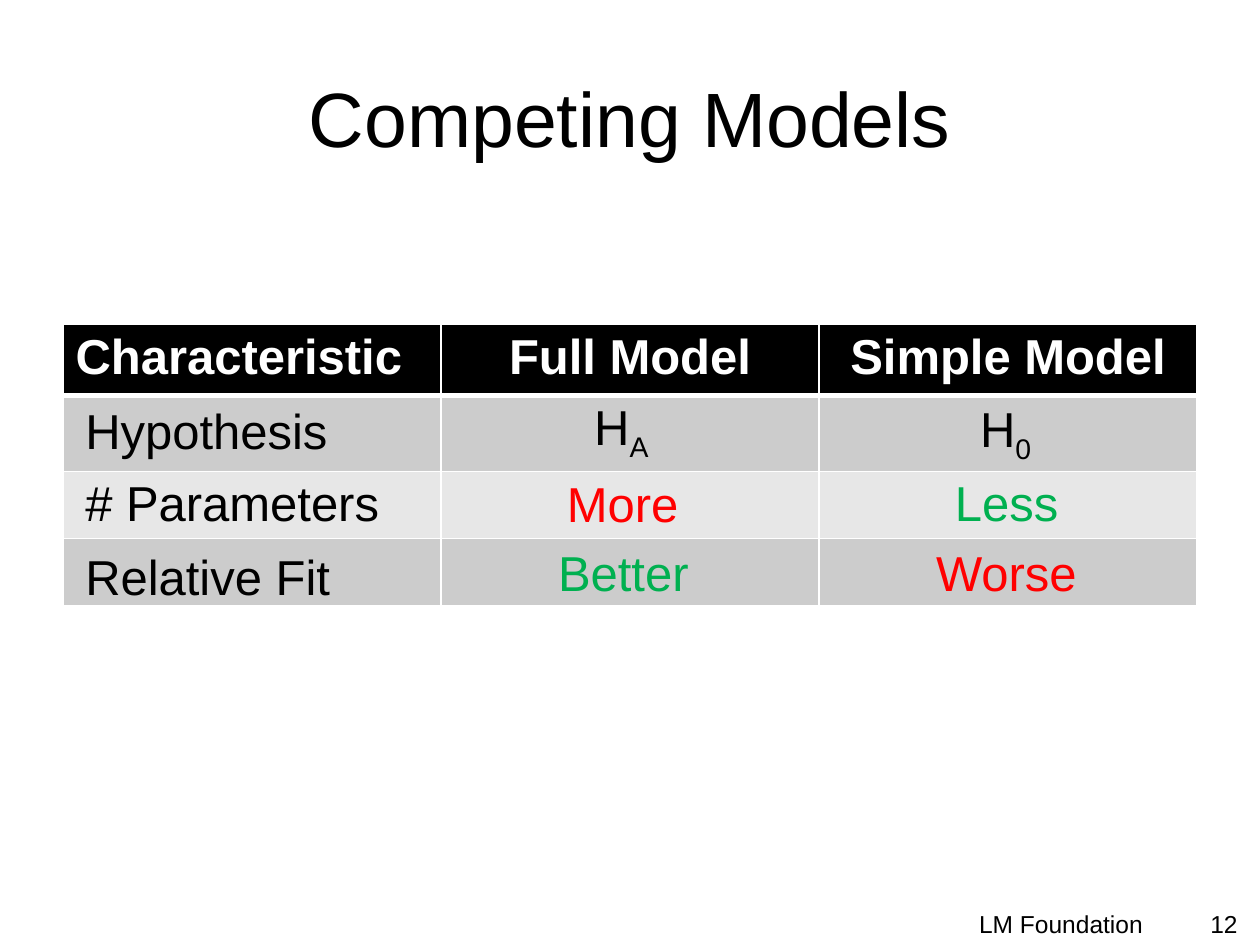
from lxml import etree
from pptx import Presentation
from pptx.dml.color import RGBColor
from pptx.enum.text import MSO_ANCHOR, MSO_AUTO_SIZE, PP_ALIGN
from pptx.oxml.ns import qn
from pptx.util import Cm, Pt

LEFT, CENTER, RIGHT = PP_ALIGN.LEFT, PP_ALIGN.CENTER, PP_ALIGN.RIGHT
TOP, MIDDLE = MSO_ANCHOR.TOP, MSO_ANCHOR.MIDDLE
FIT_SHAPE = MSO_AUTO_SIZE.SHAPE_TO_FIT_TEXT

BLACK = RGBColor(0x00, 0x00, 0x00)
WHITE = RGBColor(0xFF, 0xFF, 0xFF)
RED = RGBColor(0xFF, 0x00, 0x00)
GREEN = RGBColor(0x00, 0xB0, 0x50)
DARK_BAND = RGBColor(0xCC, 0xCC, 0xCC)
LIGHT_BAND = RGBColor(0xE7, 0xE7, 0xE7)

FONT = "Arial"
HEADERS = ["Characteristic", "Full Model", "Simple Model"]
ROW_FILLS = [BLACK, DARK_BAND, LIGHT_BAND, DARK_BAND]
ROW_HEIGHTS = [1.33, 1.53, 1.35, 1.35]
COLUMN_WIDTH = 7.62
LABEL_HEIGHT = 1.45
LABELS = [
    ("More", "", 11.18, 9.42, 2.79, RED),
    ("Less", "", 19.0, 9.4, 2.62, GREEN),
    ("Better", "", 11.0, 10.82, 3.18, GREEN),
    ("Worse", "", 18.62, 10.82, 3.38, RED),
    ("Relative Fit", "", 1.47, 10.9, 5.51, BLACK),
    ("# Parameters", "", 1.47, 9.4, 6.5, BLACK),
    ("Hypothesis", "", 1.47, 7.95, 5.46, BLACK),
    ("H", "A", 11.73, 7.87, 1.68, BLACK),
    ("H", "0", 19.51, 7.9, 1.6, BLACK),
]


def style_run(r, size, color, bold=False):
    r.font.name = FONT
    r.font.size = Pt(size)
    r.font.bold = bold
    r.font.color.rgb = color


def add_text(s, text, left, top, width, height, size, align, anchor=TOP):
    box = s.shapes.add_textbox(Cm(left), Cm(top), Cm(width), Cm(height))
    tf = box.text_frame
    tf.word_wrap = True
    tf.vertical_anchor = anchor
    p = tf.paragraphs[0]
    p.text = text
    p.alignment = align
    style_run(p.runs[0], size, BLACK)


def add_label(s, text, subscript, left, top, width, color):
    box = s.shapes.add_textbox(Cm(left), Cm(top), Cm(width), Cm(LABEL_HEIGHT))
    tf = box.text_frame
    tf.word_wrap = False
    tf.auto_size = FIT_SHAPE
    p = tf.paragraphs[0]
    p.text = text
    p.alignment = LEFT
    if subscript:
        r = p.add_run()
        r.text = subscript
        r._r.get_or_add_rPr().set("baseline", "-25000")
    for r in p.runs:
        style_run(r, 28, color)


def set_borders(cell, widths):
    tc_pr = cell._tc.get_or_add_tcPr()
    for side, width in zip("LRTB", widths):
        line = etree.SubElement(tc_pr, qn(f"a:ln{side}"), w=str(Pt(width)))
        fill = etree.SubElement(line, qn("a:solidFill"))
        etree.SubElement(fill, qn("a:srgbClr"), val=str(WHITE))


def add_model_table(s):
    rows, cols = len(ROW_FILLS), len(HEADERS)
    frame = s.shapes.add_table(rows, cols, Cm(1.27), Cm(6.53),
                               Cm(COLUMN_WIDTH * cols), Cm(sum(ROW_HEIGHTS)))
    table = frame.table
    for column in table.columns:
        column.width = Cm(COLUMN_WIDTH)
    for i, (row, height, color) in enumerate(zip(table.rows, ROW_HEIGHTS, ROW_FILLS)):
        row.height = Cm(height)
        top, bottom = (3 if i == 1 else 1), (3 if i == 0 else 1)
        for cell in row.cells:
            set_borders(cell, (1, 1, top, bottom))
            cell.fill.solid()
            cell.fill.fore_color.rgb = color
    for j, header in enumerate(HEADERS):
        p = table.cell(0, j).text_frame.paragraphs[0]
        p.text = header
        p.alignment = CENTER if j else LEFT
        style_run(p.runs[0], 28, WHITE, bold=True)


def main():
    """Build the slide that compares the full and the simple model."""
    prs = Presentation()
    prs.slide_width, prs.slide_height = Cm(25.4), Cm(19.05)
    s = prs.slides.add_slide(prs.slide_layouts[6])
    add_text(s, "Competing Models", 1.27, 0.76, 22.86, 3.18, 44, CENTER, MIDDLE)
    add_text(s, "LM Foundation", 15.24, 18.2, 8.05, 0.64, 14, RIGHT)
    add_text(s, "12", 23.5, 18.2, 1.7, 0.85, 14, RIGHT)
    add_model_table(s)
    for label in LABELS:
        add_label(s, *label)
    prs.save("out.pptx")


if __name__ == "__main__":
    main()
